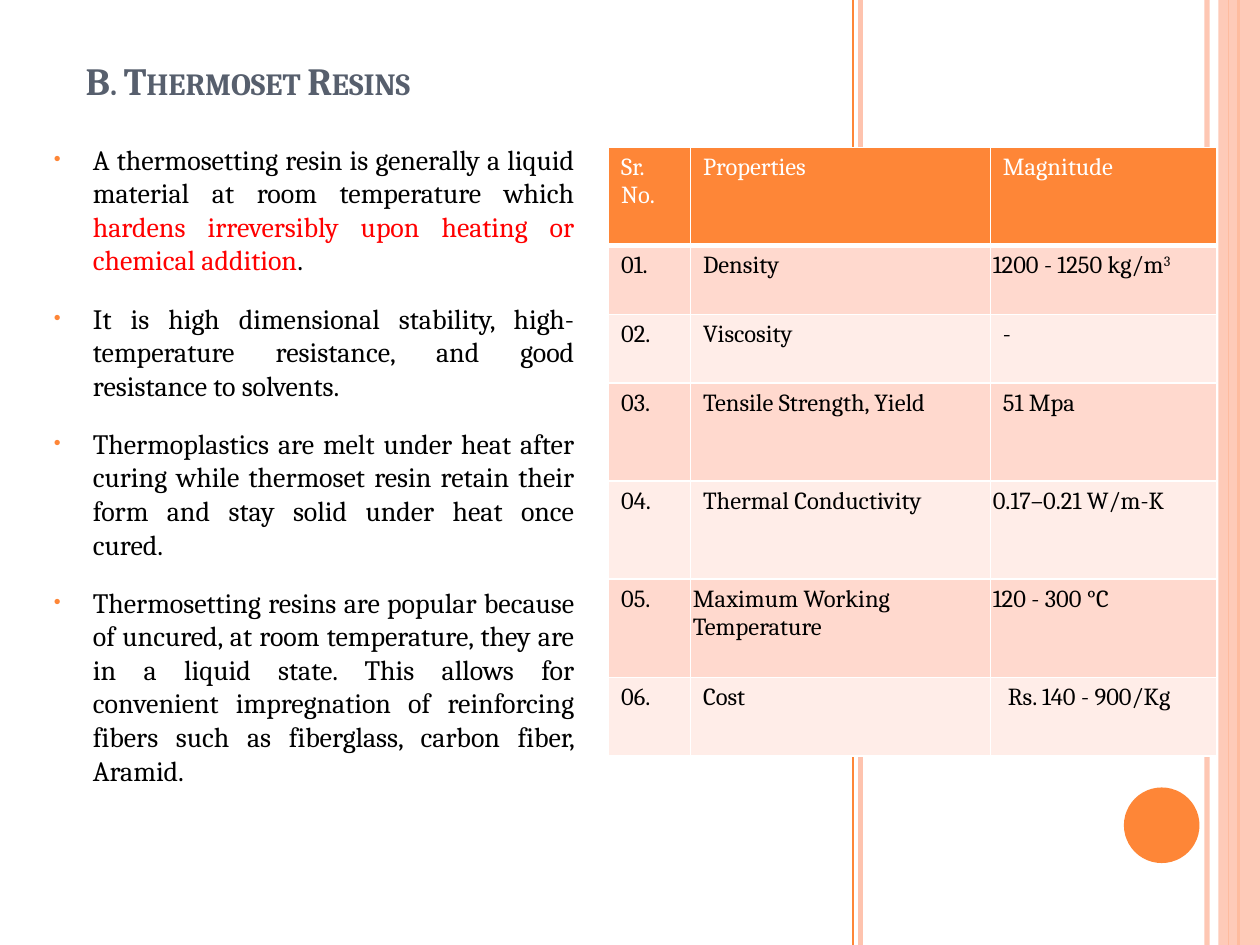
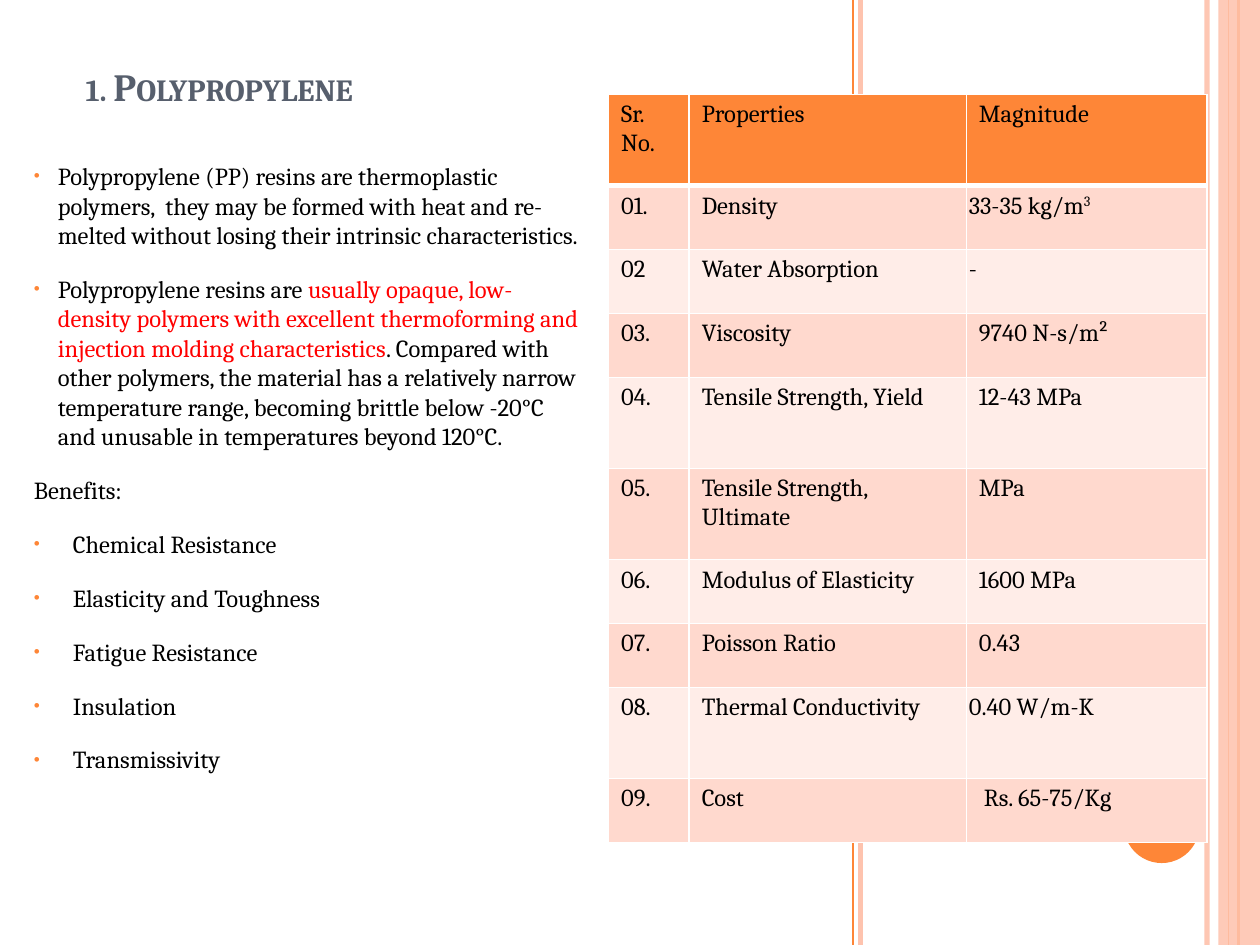
import lxml.etree
import pptx
import pptx.dml.color
import pptx.enum.shapes
import pptx.enum.text
import pptx.oxml.ns
import pptx.util

RGBColor = pptx.dml.color.RGBColor
Inches = pptx.util.Inches
Pt = pptx.util.Pt
ALIGN = pptx.enum.text.PP_ALIGN

ORANGE = RGBColor(0xFE, 0x86, 0x37)
PEACH = RGBColor(0xFE, 0xC3, 0xAE)
SLATE = RGBColor(0x57, 0x5F, 0x6D)
RED = RGBColor(0xFF, 0x00, 0x00)
BLACK = RGBColor(0x00, 0x00, 0x00)
WHITE = RGBColor(0xFF, 0xFF, 0xFF)
ROW_FILLS = (RGBColor(0xFF, 0xED, 0xE8), RGBColor(0xFF, 0xD9, 0xCE))

FONT = "Cambria"
WIDTH, HEIGHT = 10, 7.5
TIGHT, WIDE = 0.02, 0.14
TITLE_FONT = {"name": FONT, "size": Pt(22), "bold": True}
BODY_SPACING = {"space_before": Pt(4), "space_after": Pt(10)}
HEADINGS = ("Sr. No.", "Properties", "Magnitude")

BAND_LINES = (
    (9.58, PEACH, 3, 93),
    (6.83, PEACH, 3, 100),
    (6.77, ORANGE, 1, 100),
    (9.83, ORANGE, 1.5, 100),
    (9.75, ORANGE, 0.75, 100),
)

THERMOSET = {
    "title": "B. Thermoset Resins",
    "title_box": (0.58, 0.17, 5.08, 0.7),
    "body_box": (0.33, 1.08, 4.33, 5.76),
    "body_size": 16,
    "alignment": ALIGN.JUSTIFY,
    "paragraphs": (
        (0.31, "A thermosetting resin is generally a liquid material at room temperature which "
               "|hardens irreversibly upon heating or chemical addition|."),
        (0.31, "It is high dimensional stability, high-temperature resistance, "
               "and good resistance to solvents."),
        (0.31, "Thermoplastics are melt under heat after curing while thermoset resin "
               "retain their form and stay solid under heat once cured."),
        (0.31, "Thermosetting resins are popular because of uncured, at room temperature, "
               "they are in a liquid state. This allows for convenient impregnation of "
               "reinforcing fibers such as fiberglass, carbon fiber, Aramid."),
    ),
    "table_box": (4.83, 1.17, 4.83, 4.83),
    "columns": (0.65, 2.38, 1.8),
    "row_shares": (10, 7, 7, 10, 10, 10, 8),
    "heading_color": WHITE,
    "rows": (
        ("01.", "Density", "1200 - 1250 kg/m|3"),
        ("02.", "Viscosity", "-"),
        ("03.", "Tensile Strength, Yield", "51 Mpa"),
        ("04.", "Thermal Conductivity", "0.17–0.21 W/m-K"),
        ("05.", "Maximum Working Temperature", "120 - 300 °C"),
        ("06.", "Cost", "Rs. 140 - 900/Kg"),
    ),
    "insets": {(1, 2): TIGHT, (4, 2): TIGHT, (5, 1): TIGHT, (5, 2): TIGHT, (6, 2): WIDE},
}

POLYPROPYLENE = {
    "title": "1. Polypropylene",
    "title_box": (0.58, 0.17, 3.29, 0.75),
    "body_box": (0.17, 1.23, 4.58, 5.93),
    "body_size": 14,
    "alignment": ALIGN.LEFT,
    "paragraphs": (
        (0.19, "Polypropylene (PP) resins are thermoplastic polymers,  they may be formed with "
               "heat and re-melted without losing their intrinsic characteristics."),
        (0.19, "Polypropylene resins are |usually opaque, low-density polymers with excellent "
               "thermoforming and injection molding characteristics|. Compared with other "
               "polymers, the material has a relatively narrow temperature range, becoming "
               "brittle below -20°C and unusable in temperatures beyond 120°C."),
        (0, "Benefits:"),
        (0.31, "Chemical Resistance"),
        (0.31, "Elasticity and Toughness"),
        (0.31, "Fatigue Resistance"),
        (0.31, "Insulation"),
        (0.31, "Transmissivity"),
    ),
    "table_box": (4.83, 0.75, 4.75, 5.94),
    "columns": (0.64, 2.2, 1.91),
    "row_shares": (10, 7, 7, 7, 10, 10, 7, 7, 10, 7),
    "heading_color": BLACK,
    "rows": (
        ("01.", "Density", "33-35 kg/m|3"),
        ("02", "Water Absorption", "-"),
        ("03.", "Viscosity", "9740 N-s/m²"),
        ("04.", "Tensile Strength, Yield", "12-43 MPa"),
        ("05.", "Tensile Strength, Ultimate", "MPa"),
        ("06.", "Modulus of Elasticity", "1600 MPa"),
        ("07.", "Poisson Ratio", "0.43"),
        ("08.", "Thermal Conductivity", "0.40 W/m-K"),
        ("09.", "Cost", "Rs. 65-75/Kg"),
    ),
    "insets": {(1, 2): TIGHT, (2, 2): TIGHT, (8, 2): TIGHT, (9, 2): WIDE},
}


def apply_format(target, values):
    """Set each named attribute of the target."""
    for name, value in values.items():
        setattr(target, name, value)


def add_element(parent, tag, **attributes):
    """Append a drawing element with the given attributes."""
    element = lxml.etree.SubElement(parent, pptx.oxml.ns.qn(tag))
    for name, value in attributes.items():
        element.set(name, str(value))
    return element


def set_opacity(shape, percent):
    """Make every solid colour of the shape partly transparent."""
    for color in shape.element.spPr.iter(pptx.oxml.ns.qn("a:srgbClr")):
        add_element(color, "a:alpha", val=percent * 1000)


def add_runs(paragraph, text, size, color, accent_color=None):
    """Write text whose parts between bars are coloured or else raised."""
    for index, part in enumerate(text.split("|")):
        run = paragraph.add_run()
        run.text = part
        apply_format(run.font, {"name": FONT, "size": Pt(size)})
        run.font.color.rgb = color
        if index % 2 and accent_color is not None:
            run.font.color.rgb = accent_color
        elif index % 2:
            run.font._element.set("baseline", "30000")


def add_bands(slide):
    """Draw the vertical bands and the disc, then place them on the layout."""
    shapes = slide.shapes
    kinds = pptx.enum.shapes.MSO_SHAPE
    decorations = []
    for left, color, weight, opacity in BAND_LINES:
        line = shapes.add_connector(pptx.enum.shapes.MSO_CONNECTOR.STRAIGHT,
                                    Inches(left), 0, Inches(left), Inches(HEIGHT))
        line.line.color.rgb = color
        line.line.width = Pt(weight)
        add_element(line.element.spPr, "a:effectLst")
        set_opacity(line, opacity)
        decorations.append(line)
    for kind, box, color, opacity in (
            (kinds.RECTANGLE, (9.67, 0, 0.33, HEIGHT), PEACH, 87),
            (kinds.OVAL, (8.92, 6.25, 0.6, 0.6), ORANGE, 100)):
        shape = shapes.add_shape(kind, *map(Inches, box))
        shape.shadow.inherit = False
        shape.fill.solid()
        shape.fill.fore_color.rgb = color
        shape.line.fill.background()
        set_opacity(shape, opacity)
        decorations.append(shape)
    for number, shape in enumerate(decorations, 20):
        shape.element.xpath(".//p:cNvPr")[0].set("id", str(number))
        slide.slide_layout.shapes.element.append(shape.element)


def fill_title(slide, box, text):
    """Place the title placeholder and set it in bold small capitals."""
    title = slide.shapes.title
    apply_format(title, dict(zip(("left", "top", "width", "height"), map(Inches, box))))
    apply_format(title.text_frame, {
        "text": text,
        "vertical_anchor": pptx.enum.text.MSO_ANCHOR.BOTTOM,
        "auto_size": pptx.enum.text.MSO_AUTO_SIZE.NONE,
    })
    paragraph = title.text_frame.paragraphs[0]
    paragraph.alignment = ALIGN.LEFT
    font = paragraph.runs[0].font
    apply_format(font, TITLE_FONT)
    font.color.rgb = SLATE
    font._element.set("cap", "small")


def add_bullet(paragraph, indent):
    """Give the paragraph an orange bullet with a hanging indent."""
    properties = paragraph._p.get_or_add_pPr()
    properties.set("marL", str(Inches(indent)))
    properties.set("indent", str(-Inches(indent)))
    add_element(add_element(properties, "a:buClr"), "a:srgbClr", val=ORANGE)
    add_element(properties, "a:buSzPct", val=70000)
    add_element(properties, "a:buFont", typeface="Arial")
    add_element(properties, "a:buChar", char="•")


def add_body(slide, box, content):
    """Write the bulleted text in the given box."""
    frame = slide.shapes.add_textbox(*map(Inches, box)).text_frame
    frame.word_wrap = True
    for index, (indent, text) in enumerate(content["paragraphs"]):
        paragraph = frame.add_paragraph() if index else frame.paragraphs[0]
        apply_format(paragraph, {"alignment": content["alignment"], **BODY_SPACING})
        if indent:
            add_bullet(paragraph, indent)
        add_runs(paragraph, text, content["body_size"], BLACK, RED)


def set_borders(cell, row):
    """Draw white cell borders, thicker under the heading row."""
    properties = cell._tc.get_or_add_tcPr()
    weights = {"L": 1, "R": 1, "T": 3 if row == 1 else 1, "B": 3 if row == 0 else 1}
    for side, weight in weights.items():
        border = add_element(properties, "a:ln" + side, w=Pt(weight))
        add_element(add_element(border, "a:solidFill"), "a:srgbClr", val=WHITE)


def add_property_table(slide, box, content):
    """Fill the box with the table of properties, sized by column and row shares."""
    rows = (HEADINGS,) + content["rows"]
    columns, shares = content["columns"], content["row_shares"]
    table = slide.shapes.add_table(len(rows), len(columns), *map(Inches, box)).table
    apply_format(table, {"first_row": False, "horz_banding": False})
    for column, share in zip(table.columns, columns):
        column.width = Inches(box[2] * share / sum(columns))
    for row, share in zip(table.rows, shares):
        row.height = Inches(box[3] * share / sum(shares))
    for row, texts in enumerate(rows):
        for column, text in enumerate(texts):
            cell = table.cell(row, column)
            inset = content["insets"].get((row, column), 0.1)
            apply_format(cell, {"margin_left": Inches(inset),
                                "margin_right": Inches(min(inset, 0.1))})
            set_borders(cell, row)
            cell.fill.solid()
            cell.fill.fore_color.rgb = ROW_FILLS[row % 2] if row else ORANGE
            color = BLACK if row else content["heading_color"]
            add_runs(cell.text_frame.paragraphs[0], text, 14, color)


def build_resin_slide(slide, content):
    """Place title, property table and text of one resin."""
    fill_title(slide, content["title_box"], content["title"])
    add_property_table(slide, content["table_box"], content)
    add_body(slide, content["body_box"], content)


def main():
    """Build the presentation and save it."""
    presentation = pptx.Presentation()
    apply_format(presentation, {"slide_width": Inches(WIDTH), "slide_height": Inches(HEIGHT)})
    layout = presentation.slide_layouts.get_by_name("Title Only")
    for content in (THERMOSET, POLYPROPYLENE):
        slide = presentation.slides.add_slide(layout)
        if content is THERMOSET:
            add_bands(slide)
        build_resin_slide(slide, content)
    presentation.save("out.pptx")


if __name__ == "__main__":
    main()
